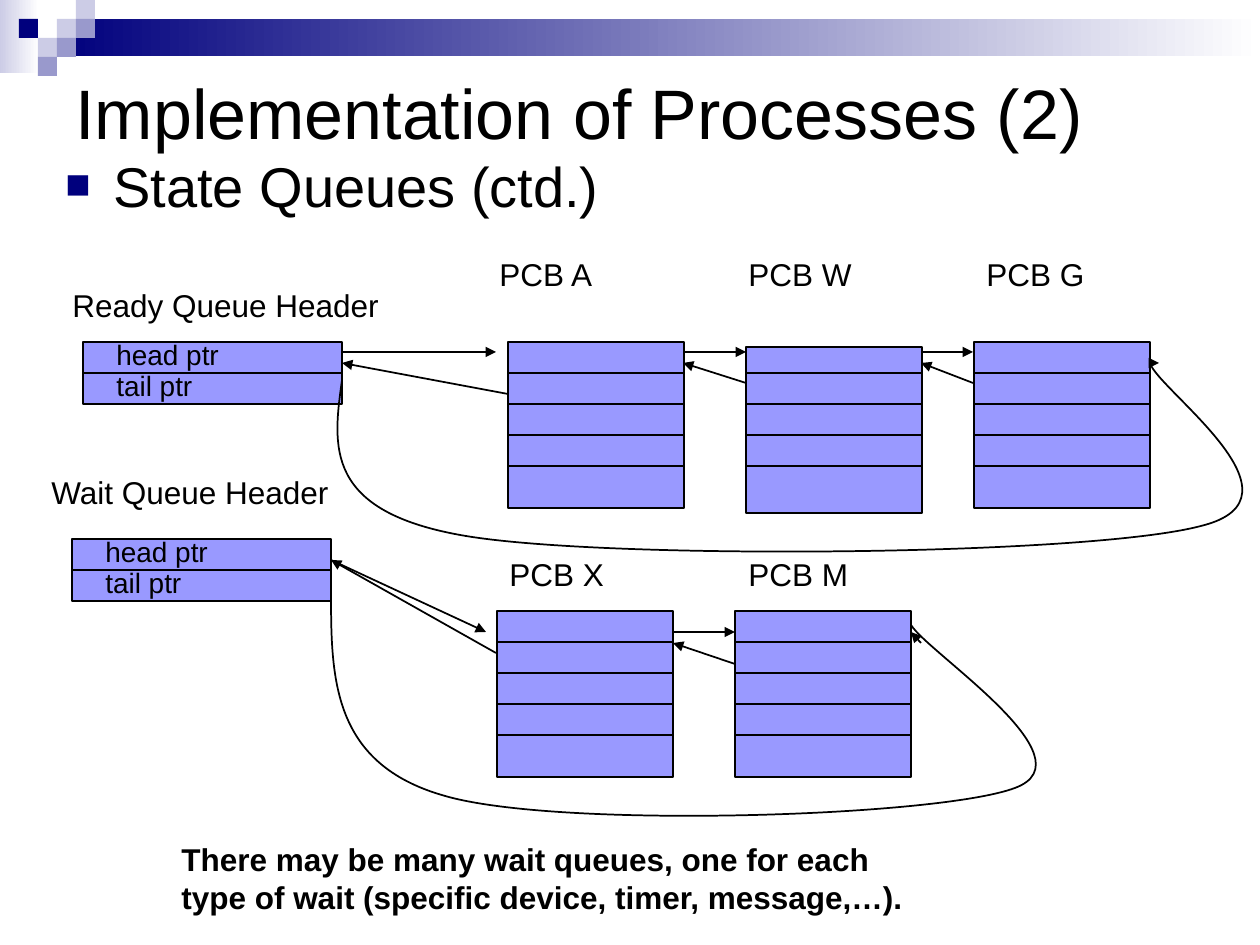
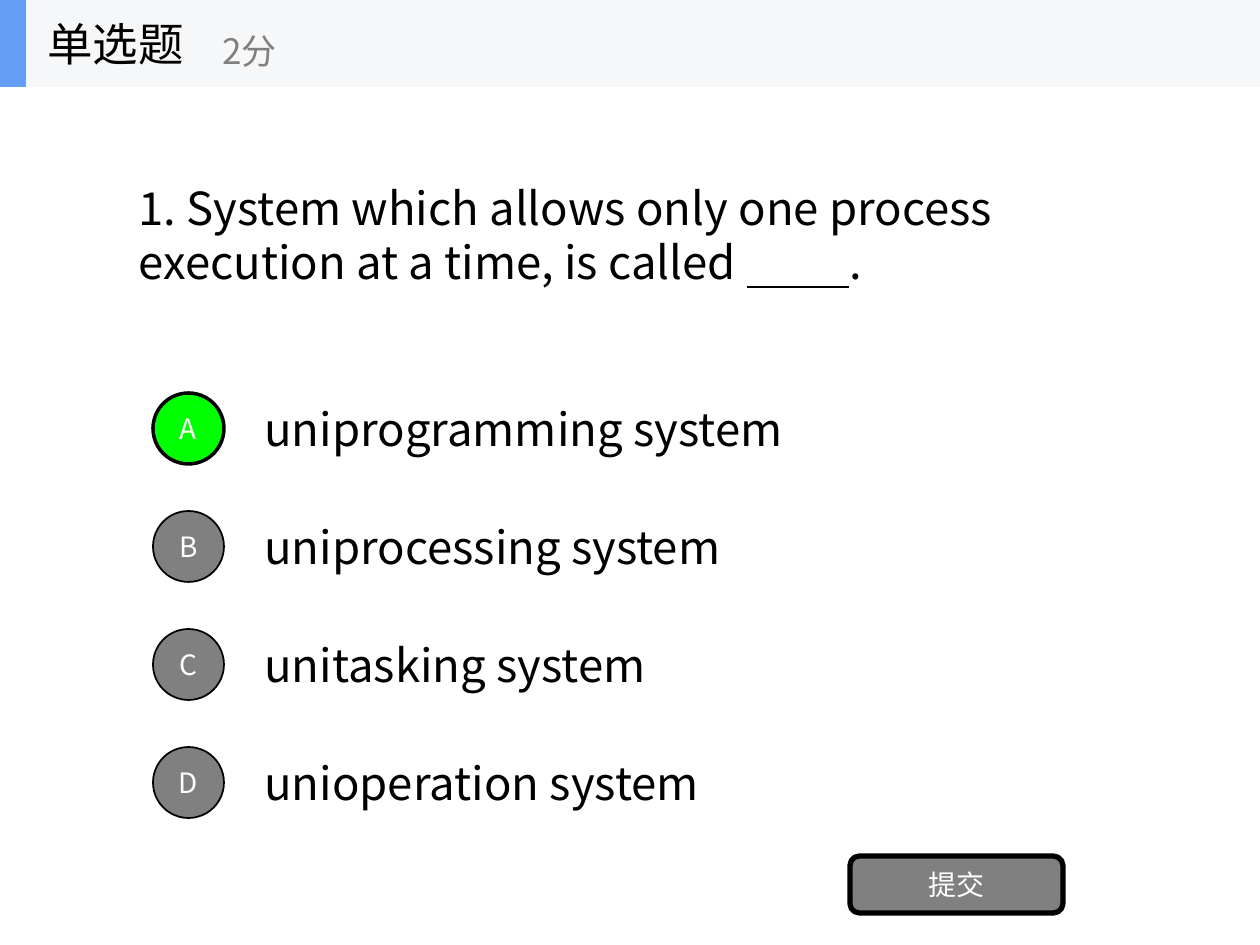
from lxml import etree
from pptx import Presentation
from pptx import util as u
from pptx.dml.color import RGBColor
from pptx.enum import shapes, text
from pptx.oxml.ns import qn

PX = 914400 / 126
LATIN = "Arial"
CJK = "Noto Sans CJK SC"

BLACK = RGBColor(0, 0, 0)
WHITE = RGBColor(255, 255, 255)
NAVY = RGBColor(0x00, 0x00, 0x7D)
LAVENDER = RGBColor(0xCC, 0xCC, 0xE6)
MID_LAVENDER = RGBColor(0x99, 0x99, 0xCC)
BLOCK = RGBColor(0x99, 0x99, 0xFF)
GREEN = RGBColor(0x00, 0xFF, 0x00)
GRAY = RGBColor(0x80, 0x80, 0x80)
HEADER_GRAY = RGBColor(0xF6, 0xF7, 0xF8)
HEADER_BLUE = RGBColor(0x63, 0x9E, 0xF4)

PCB_W, PCB_H, ROW_H = 176, 166, 31
HEADER_W, HEADER_H = 259, 62
BLANK_LENGTH = 10


def px(*lengths):
    return [u.Emu(round(length * PX)) for length in lengths]


def add_to(parent, tag, **attributes):
    return etree.SubElement(parent, qn(tag), attributes)


def style(paragraph, size, face, color=BLACK, bold=False, align=text.PP_ALIGN.LEFT):
    paragraph.alignment = align
    font = paragraph.font
    font.size, font.bold, font.name = u.Pt(size), bold, face
    font.color.rgb = color
    if face == CJK:
        properties = paragraph._p.get_or_add_pPr().find(qn("a:defRPr"))
        add_to(properties, "a:ea", typeface=face)


def add_text(slide, box, lines, size, face=LATIN, color=BLACK, bold=False,
             anchor=text.MSO_ANCHOR.TOP, wrap=True):
    frame = slide.shapes.add_textbox(*px(*box)).text_frame
    frame.word_wrap = wrap
    frame.vertical_anchor = anchor
    frame.text = lines
    for paragraph in frame.paragraphs:
        style(paragraph, size, face, color, bold)
    return frame


def add_box(slide, box, fill, line=None, kind=shapes.MSO_SHAPE.RECTANGLE):
    shape = slide.shapes.add_shape(kind, *px(*box))
    shape.shadow.inherit = False
    if isinstance(fill, tuple) and not isinstance(fill, RGBColor):
        shape.fill.gradient()
        shape.fill.gradient_angle = 0
        for stop, color in zip(shape.fill.gradient_stops, fill):
            stop.color.rgb = color
    else:
        shape.fill.solid()
        shape.fill.fore_color.rgb = fill
    if line:
        shape.line.color.rgb = BLACK
        shape.line.width = u.Pt(line)
    else:
        shape.line.fill.background()
    return shape


def add_button(slide, box, caption, fill, line, kind):
    button = add_box(slide, box, fill, line, kind)
    frame = button.text_frame
    frame.vertical_anchor = text.MSO_ANCHOR.MIDDLE
    frame.text = caption
    style(frame.paragraphs[0], 16, CJK, WHITE, align=text.PP_ALIGN.CENTER)


def add_line(slide, x1, y1, x2, y2, arrow=False):
    line = slide.shapes.add_connector(shapes.MSO_CONNECTOR.STRAIGHT, *px(x1, y1, x2, y2))
    line.line.color.rgb = BLACK
    line.line.width = u.Pt(1)
    if arrow:
        add_to(line.line._get_or_add_ln(), "a:tailEnd", type="triangle")
    add_to(line._element.spPr, "a:effectLst")
    return line


def add_curve(slide, start, *controls):
    builder = slide.shapes.build_freeform(*start, scale=PX)
    builder.add_line_segments(controls, close=False)
    curve = builder.convert_to_shape()
    curve.shadow.inherit = False
    curve.fill.background()
    curve.line.color.rgb = BLACK
    curve.line.width = u.Pt(1)
    outline = curve._element.spPr.find(".//" + qn("a:path"))
    segments = outline.findall(qn("a:lnTo"))
    for first in range(0, len(segments), 3):
        bezier = add_to(outline, "a:cubicBezTo")
        for segment in segments[first:first + 3]:
            bezier.append(segment[0])
            outline.remove(segment)


def set_title(slide, box):
    title = slide.shapes.title
    title.left, title.top, title.width, title.height = px(*box)
    frame = title.text_frame
    frame.auto_size = text.MSO_AUTO_SIZE.NONE
    frame.word_wrap = True
    frame.vertical_anchor = text.MSO_ANCHOR.MIDDLE
    return frame.paragraphs[0]


def add_band(slide):
    add_box(slide, (0, 0, 39, 73), (LAVENDER, WHITE))
    add_box(slide, (57, 19, 1203, 37), (NAVY, WHITE))
    tile = 19
    for column, row, color in [
        (3, 1, LAVENDER), (4, 0, LAVENDER), (4, 1, MID_LAVENDER), (2, 2, LAVENDER),
        (1, 1, NAVY), (3, 2, MID_LAVENDER), (2, 3, MID_LAVENDER),
    ]:
        add_box(slide, (column * tile, row * tile, tile, tile), color)


def add_queue_header(slide, x, y, name, name_box):
    header = add_box(slide, (x, y, HEADER_W, HEADER_H), BLOCK, 1)
    middle = y + HEADER_H // 2
    divider = add_line(slide, x, middle, x + HEADER_W, middle)
    divider.begin_connect(header, 1)
    divider.end_connect(header, 3)
    add_text(slide, name_box, name, 18)
    for row, pointer in enumerate(("head ptr", "tail ptr")):
        add_text(slide, (x + 21, y - 11 + row * ROW_H, PCB_W, 46), pointer, 16)


def add_pcb(slide, x, y, first_row, name, name_x, name_y):
    add_box(slide, (x, y, PCB_W, PCB_H), BLOCK, 1)
    for row in range(4):
        row_y = first_row + row * ROW_H
        add_line(slide, x, row_y, x + PCB_W, row_y)
    add_text(slide, (name_x, name_y, PCB_W, 50), name, 18)


def add_bullet(slide, box, topic):
    paragraph = add_text(slide, box, topic, 32).paragraphs[0]
    properties = paragraph._p.get_or_add_pPr()
    indent = px(48)[0]
    properties.set("marL", str(indent))
    properties.set("indent", str(-indent))
    font = properties.find(qn("a:defRPr"))
    properties.remove(font)
    color = add_to(properties, "a:buClr")
    add_to(color, "a:srgbClr", val=str(NAVY))
    add_to(properties, "a:buSzPct", val="75000")
    add_to(properties, "a:buFont", typeface=LATIN)
    add_to(properties, "a:buChar", char="■")
    properties.append(font)
    paragraph.line_spacing = 0.8


def build_queues(slide):
    add_band(slide)
    title = set_title(slide, (63, 53, 1071, 118))
    title.text = "Implementation of Processes (2)"
    style(title, 40, LATIN)
    add_bullet(slide, (53, 158, 1155, 746), "State Queues (ctd.)")

    add_queue_header(slide, 83, 342, "Ready Queue Header", (60, 280, 345, 50))
    add_queue_header(slide, 72, 539, "Wait Queue Header", (39, 467, 315, 50))
    for pcb in [
        (508, 342, 373, "PCB A", 487, 249),
        (746, 347, 373, "PCB W", 736, 249),
        (974, 342, 373, "PCB G", 974, 249),
        (497, 611, 642, "PCB X", 497, 549),
        (735, 611, 642, "PCB M", 736, 549),
    ]:
        add_pcb(slide, *pcb)

    ready_links = [
        (342, 352, 496, 352), (684, 352, 746, 352), (921, 352, 973, 352),
        (973, 383, 921, 363), (746, 383, 683, 363), (508, 394, 342, 363),
        (1150, 363, 1159, 363),
    ]
    wait_links = [
        (331, 560, 486, 632), (673, 632, 735, 632), (735, 664, 673, 643),
        (496, 653, 331, 560), (921, 643, 911, 632),
    ]
    for link in ready_links + wait_links:
        add_line(slide, *link, arrow=True)
    add_curve(slide, (342, 380), (333, 446), (323, 512), (466, 536),
              (610, 560), (1088, 556), (1201, 526),
              (1315, 498), (1158, 390), (1150, 363))
    add_curve(slide, (331, 591), (331, 677), (331, 764), (445, 796),
              (559, 829), (938, 817), (1015, 788),
              (1093, 759), (928, 653), (911, 625))
    add_text(slide, (169, 834, 760, 88),
             "There may be many wait queues, one for each\n"
             "type of wait (specific device, timer, message,…).",
             18, bold=True)


def build_question(slide):
    question = set_title(slide, (126, 87, 1008, 295))
    style(question, 26, CJK)
    question.add_run().text = ("1. System which allows only one process "
                               "execution at a time, is called ")
    blank = question.add_run()
    blank.text = " " * BLANK_LENGTH
    blank.font.underline = True
    question.add_run().text = "."

    answers = ["uniprogramming system", "uniprocessing system",
               "unitasking system", "unioperation system"]
    for index, (letter, answer) in enumerate(zip("ABCD", answers)):
        top = 384 + index * 118
        correct = letter == "A"
        add_text(slide, (252, top, 882, 88), answer, 26, CJK,
                 anchor=text.MSO_ANCHOR.MIDDLE)
        add_button(slide, (153, top + 9, 71, 71), letter, GREEN if correct else GRAY,
                   2 if correct else 1, shapes.MSO_SHAPE.OVAL)
    add_button(slide, (850, 856, 213, 57), "提交", GRAY, 3,
               shapes.MSO_SHAPE.ROUNDED_RECTANGLE)

    add_box(slide, (0, 0, 1260, 87), HEADER_GRAY)
    add_box(slide, (0, 0, 26, 87), HEADER_BLUE)
    add_text(slide, (35, 0, 262, 87), "单选题", 26, CJK,
             anchor=text.MSO_ANCHOR.MIDDLE, wrap=False)
    add_text(slide, (210, 15, 315, 71), "2分", 20, CJK, GRAY,
             anchor=text.MSO_ANCHOR.MIDDLE, wrap=False)


def main():
    deck = Presentation()
    deck.slide_width, deck.slide_height = px(1260, 945)
    title_only = deck.slide_layouts[5]
    for build in (build_queues, build_question):
        build(deck.slides.add_slide(title_only))
    deck.save("out.pptx")


if __name__ == "__main__":
    main()
